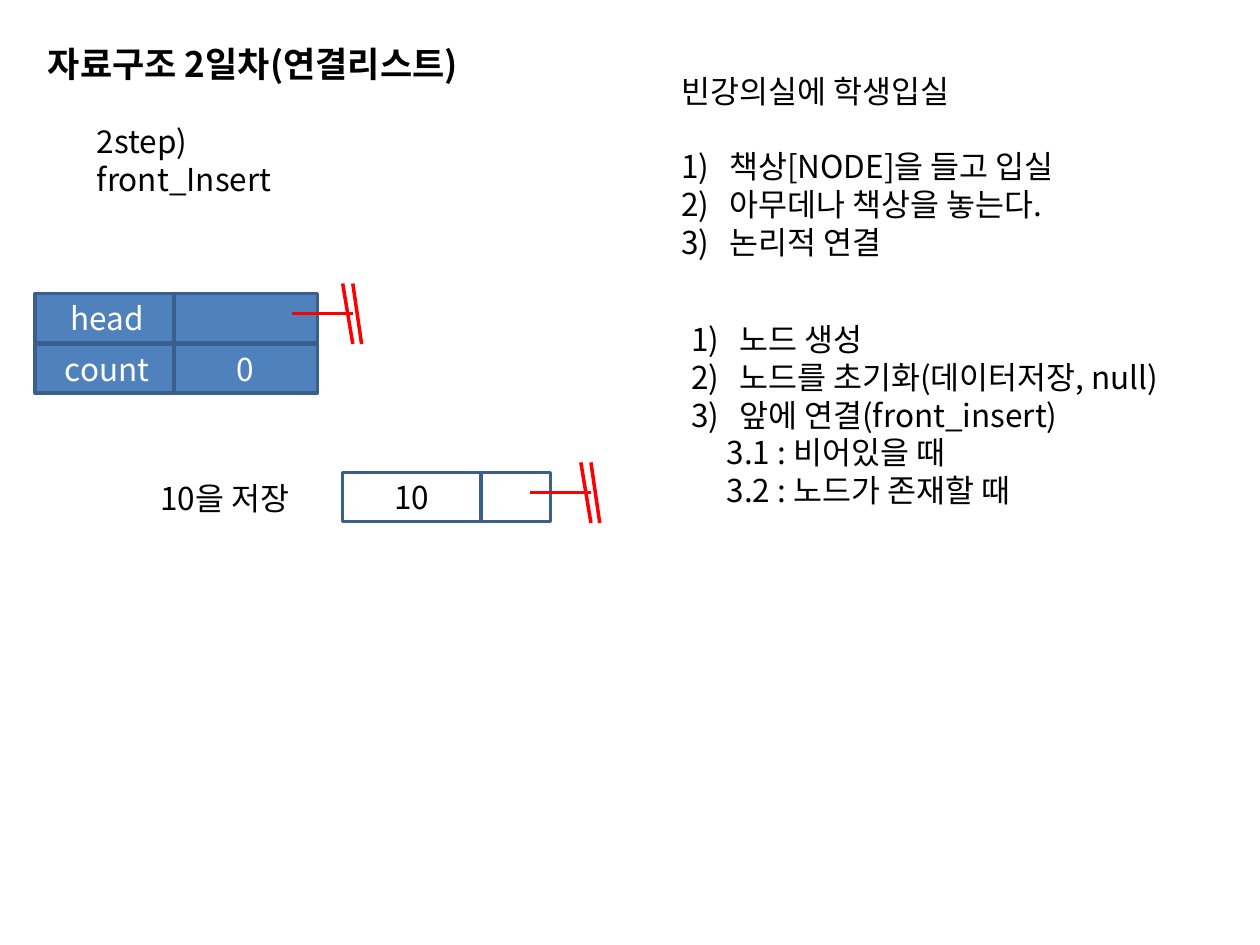
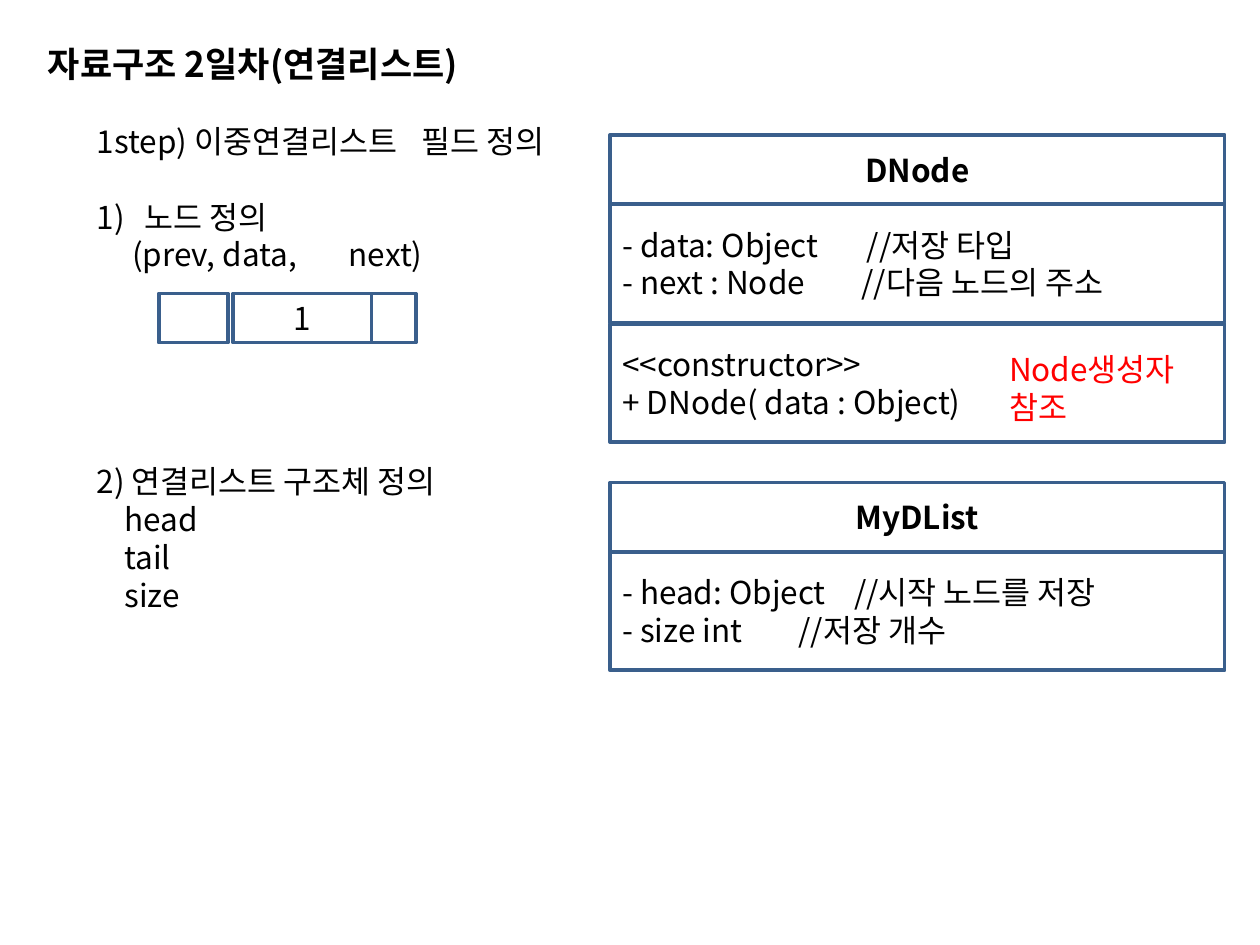
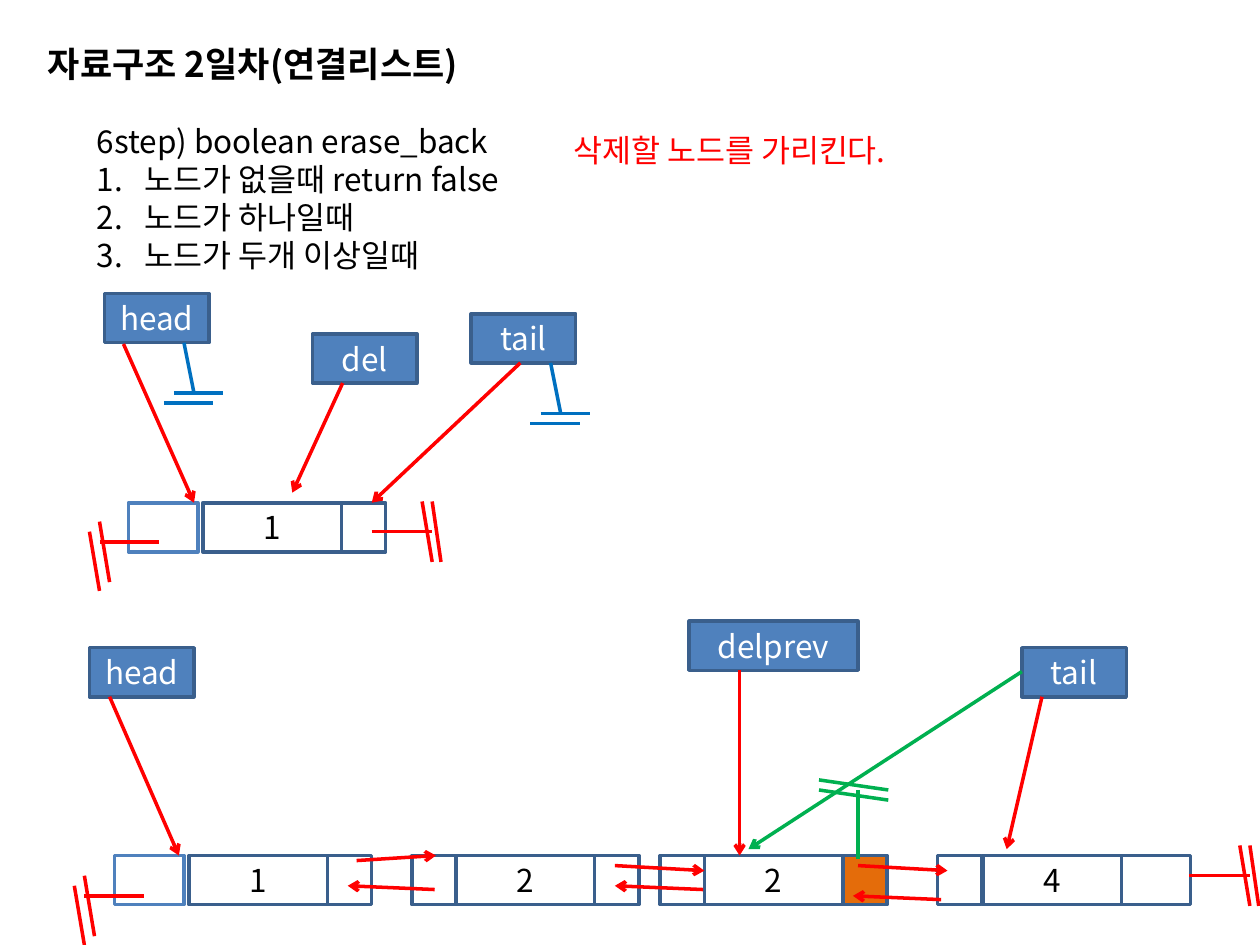
"""Builds three lecture slides on linked lists."""
from lxml import etree
from pptx import Presentation
from pptx import util as u
from pptx.dml.color import RGBColor
from pptx.enum import shapes, text
from pptx.oxml.ns import qn

FONT = "Noto Sans CJK KR"
BLACK = RGBColor(0x00, 0x00, 0x00)
WHITE = RGBColor(0xFF, 0xFF, 0xFF)
RED = RGBColor(0xFF, 0x00, 0x00)
BLUE = RGBColor(0x4F, 0x81, 0xBD)
NAVY = RGBColor(0x3A, 0x5F, 0x8C)
SKY = RGBColor(0x00, 0x70, 0xC0)
GREEN = RGBColor(0x00, 0xB0, 0x50)
ORANGE = RGBColor(0xE4, 0x6C, 0x0A)

LEFT = text.PP_ALIGN.LEFT
MID = text.PP_ALIGN.CENTER
TITLE = "자료구조 2일차(연결리스트)"
PAREN = "arabicParenR"
DOT = "arabicPeriod"
ROW = 0.39
BLANK = 21.6

RIGHT_END = [(-0.48, 0, 0, 0), (-0.08, -0.24, 0, 0.24), (0, -0.24, 0.07, 0.24)]
LEFT_END = [(0, 0, 0.47, 0), (0, -0.16, 0.08, 0.32), (-0.08, -0.08, 0, 0.39)]
DOWN_END = [(0, 0, -0.08, -0.4), (-0.16, 0, 0.23, 0), (-0.24, 0.08, 0.15, 0.08)]
UP_END = [(0, 0, 0, 0.55), (-0.31, 0, 0.24, 0.08), (-0.31, -0.08, 0.24, 0)]


def put(slide, x, y, w, h, lines, fill=None, edge=None, ink=BLACK, align=LEFT, bold=False):
    """Adds a text box, or a rectangle when an edge colour is given."""
    place = [u.Inches(v) for v in (x, y, w, h)]
    if edge is None:
        shape = slide.shapes.add_textbox(*place)
    else:
        shape = slide.shapes.add_shape(shapes.MSO_SHAPE.RECTANGLE, *place)
        shape.shadow.inherit = False
        shape.line.color.rgb = edge
        shape.line.width = u.Pt(2)
        if fill is None:
            shape.fill.background()
        else:
            shape.fill.solid()
            shape.fill.fore_color.rgb = fill
    frame = shape.text_frame
    frame.word_wrap = True
    frame.vertical_anchor = text.MSO_ANCHOR.MIDDLE if edge else text.MSO_ANCHOR.TOP
    for i, line in enumerate(lines):
        words, opts = line if isinstance(line, tuple) else (line, {})
        para = frame.paragraphs[0] if i == 0 else frame.add_paragraph()
        para.text = words
        para.alignment = align
        prop = para._p.get_or_add_pPr()
        if "gap" in opts:
            para.space_before = u.Pt(opts["gap"])
        if "num" in opts:
            prop.set("marL", str(u.Inches(0.38)))
            prop.set("indent", str(u.Inches(-0.38)))
            etree.SubElement(prop, qn("a:buAutoNum"), type=opts["num"])
        if "dent" in opts:
            prop.set("marL", "0")
            prop.set("indent", str(u.Inches(opts["dent"])))
        if "tabs" in opts:
            stops = etree.SubElement(prop, qn("a:tabLst"))
            for stop in opts["tabs"]:
                etree.SubElement(stops, qn("a:tab"), pos=str(u.Inches(stop)), algn="l")
        font = para.font
        font.size, font.name, font.bold = u.Pt(18), FONT, bold
        font.color.rgb = ink
        etree.SubElement(prop.find(qn("a:defRPr")), qn("a:ea"), typeface=FONT)


def link(slide, ends, color=RED, arrow=False):
    """Adds a straight line, with an arrowhead at its end if asked."""
    line = slide.shapes.add_connector(
        shapes.MSO_CONNECTOR.STRAIGHT, *[u.Inches(v) for v in ends])
    line.line.color.rgb = color
    line.line.width = u.Pt(2)
    if arrow:
        etree.SubElement(line.line._get_or_add_ln(), qn("a:tailEnd"), type="arrow")
    etree.SubElement(line._element.spPr, qn("a:effectLst"))


deck = Presentation()
deck.slide_width, deck.slide_height = u.Inches(10), u.Inches(7.5)
pages = []
for _ in range(3):
    page = deck.slides.add_slide(deck.slide_layouts[5])
    title = page.shapes.title
    title.left, title.top = u.Inches(0.28), u.Inches(0.29)
    title.width, title.height = u.Inches(6.54), u.Inches(0.44)
    frame = title.text_frame
    frame.text = TITLE
    frame.auto_size = text.MSO_AUTO_SIZE.NONE
    frame.vertical_anchor = text.MSO_ANCHOR.TOP
    para = frame.paragraphs[0]
    para.alignment = LEFT
    font = para.font
    font.size, font.name, font.bold = u.Pt(20), FONT, True
    font.color.rgb = BLACK
    etree.SubElement(para._p.pPr.find(qn("a:defRPr")), qn("a:ea"), typeface=FONT)
    pages.append(page)
front, model, erase = pages

for row, pair in enumerate([("head", ""), ("count", "0")]):
    for col, word in enumerate(pair):
        put(front, 0.28 + 1.1 * col, 2.33 + 0.4 * row, 1.14, ROW,
            [word] if word else [], BLUE, NAVY, WHITE, MID)
put(front, 2.72, 3.75, 1.1, ROW, ["10"], None, NAVY, align=MID)
put(front, 3.82, 3.75, 0.55, ROW, [], None, NAVY)
put(front, 0.67, 0.92, 2.29, 0.4, ["2step) front_Insert"])
put(front, 1.12, 3.75, 1.33, 0.4, ["10을 저장"], align=MID)
put(front, 5.31, 0.52, 3.47, 1.62, [
    "빈강의실에 학생입실",
    ("책상[NODE]을 들고 입실", {"num": PAREN, "gap": BLANK}),
    ("아무데나 책상을 놓는다.", {"num": PAREN}),
    ("논리적 연결", {"num": PAREN})])
put(front, 5.39, 2.49, 4.16, 1.62, [
    ("노드 생성", {"num": PAREN}),
    ("노드를 초기화(데이터저장, null)", {"num": PAREN}),
    ("앞에 연결(front_insert)", {"num": PAREN}),
    ("3.1 : 비어있을 때", {"dent": 0.28}),
    ("3.2 : 노드가 존재할 때", {"dent": 0.28})])

put(model, 0.67, 0.92, 4.03, 4.04, [
    ("1step) 이중연결리스트\t필드 정의", {"tabs": [2.58]}),
    ("노드 정의", {"num": PAREN, "gap": BLANK}),
    ("(prev,\tdata,\tnext)", {"dent": 0.28, "tabs": [1.05, 1.92]}),
    ("2) 연결리스트 구조체 정의", {"gap": 5 * BLANK}),
    ("head", {"dent": 0.22}),
    ("tail", {"dent": 0.22}),
    ("size", {"dent": 0.22})])
for y, name in [(1.07, "DNode"), (3.83, "MyDList")]:
    put(model, 4.84, y, 4.88, 0.55, [name], WHITE, NAVY, align=MID, bold=True)
for y, lines in [
        (1.62, [("- data: Object\t//저장 타입", {"tabs": [1.94]}),
                ("- next : Node\t//다음 노드의 주소", {"tabs": [1.9]})]),
        (2.57, ["<<constructor>>", "+ DNode( data : Object)"]),
        (4.38, [("- head: Object\t//시작 노드를 저장", {"tabs": [1.84]}),
                ("- size int\t//저장 개수", {"tabs": [1.4]})])]:
    put(model, 4.84, y, 4.88, 0.94, lines, WHITE, NAVY)
for x, w, lines in [(1.26, 0.55, []), (1.85, 1.1, ["1"]), (2.95, 0.35, [])]:
    put(model, x, 2.33, w, ROW, lines, None, NAVY, align=MID)
put(model, 7.91, 2.73, 1.59, 0.71, ["Node생성자", "참조"], ink=RED)

put(erase, 0.67, 0.92, 3.66, 2.52, [
    "6step) boolean erase_back",
    ("노드가 없을때 return false", {"num": DOT}),
    ("노드가 하나일때", {"num": DOT}),
    ("노드가 두개 이상일때", {"num": DOT})])
put(erase, 4.45, 0.99, 2.96, 0.4, ["삭제할 노드를 가리킨다."], ink=RED)
for x, y, word, prev, prior, after, fill, edge in [
        (1.61, 3.99, "1", 1.02, 0.55, 0.35, WHITE, BLUE),
        (1.5, 6.79, "1", 0.91, 0.55, 0.35, WHITE, BLUE),
        (3.62, 6.79, "2", 3.27, 0.35, 0.35, None, NAVY),
        (5.59, 6.79, "2", 5.24, 0.35, 0.35, ORANGE, NAVY),
        (7.8, 6.79, "4", 7.44, 0.35, 0.55, WHITE, NAVY)]:
    put(erase, prev, y, prior, ROW, [], None, edge)
    put(erase, x, y, 1.1, ROW, [word], None, NAVY, align=MID)
    put(erase, x + 1.1, y, after, ROW, [], fill, NAVY)
for x, y, w, name in [
        (0.83, 2.33, 0.83, "head"), (2.48, 2.65, 0.83, "del"),
        (3.74, 2.49, 0.83, "tail"), (0.71, 5.14, 0.83, "head"),
        (5.47, 4.93, 1.34, "delprev"), (8.11, 5.14, 0.83, "tail")]:
    put(erase, x, y, w, ROW, [name], BLUE, NAVY, WHITE, MID)
for ends in [
        (0.98, 2.73, 1.54, 3.99), (2.72, 3.04, 2.32, 3.91),
        (4.13, 2.88, 2.95, 3.99), (0.87, 5.53, 1.42, 6.79),
        (5.87, 5.32, 5.87, 6.79), (8.27, 5.53, 7.99, 6.74),
        (2.83, 6.83, 3.46, 6.79), (3.45, 7.06, 2.76, 7.03),
        (4.88, 6.87, 5.59, 6.91), (5.58, 7.06, 4.88, 7.03),
        (6.81, 6.87, 7.52, 6.91), (7.47, 7.14, 6.77, 7.11)]:
    link(erase, ends, arrow=True)
link(erase, (8.11, 5.33, 5.94, 6.74), GREEN, True)

for page, x, y, form, color in [
        (front, 2.8, 2.49, RIGHT_END, RED), (front, 4.69, 3.91, RIGHT_END, RED),
        (erase, 3.43, 4.22, RIGHT_END, RED), (erase, 9.92, 6.95, RIGHT_END, RED),
        (erase, 0.79, 4.3, LEFT_END, RED), (erase, 0.67, 7.11, LEFT_END, RED),
        (erase, 1.54, 3.12, DOWN_END, SKY), (erase, 4.45, 3.28, DOWN_END, SKY),
        (erase, 6.81, 6.27, UP_END, GREEN)]:
    for a, b, c, d in form:
        link(page, (x + a, y + b, x + c, y + d), color)

deck.save("out.pptx")
